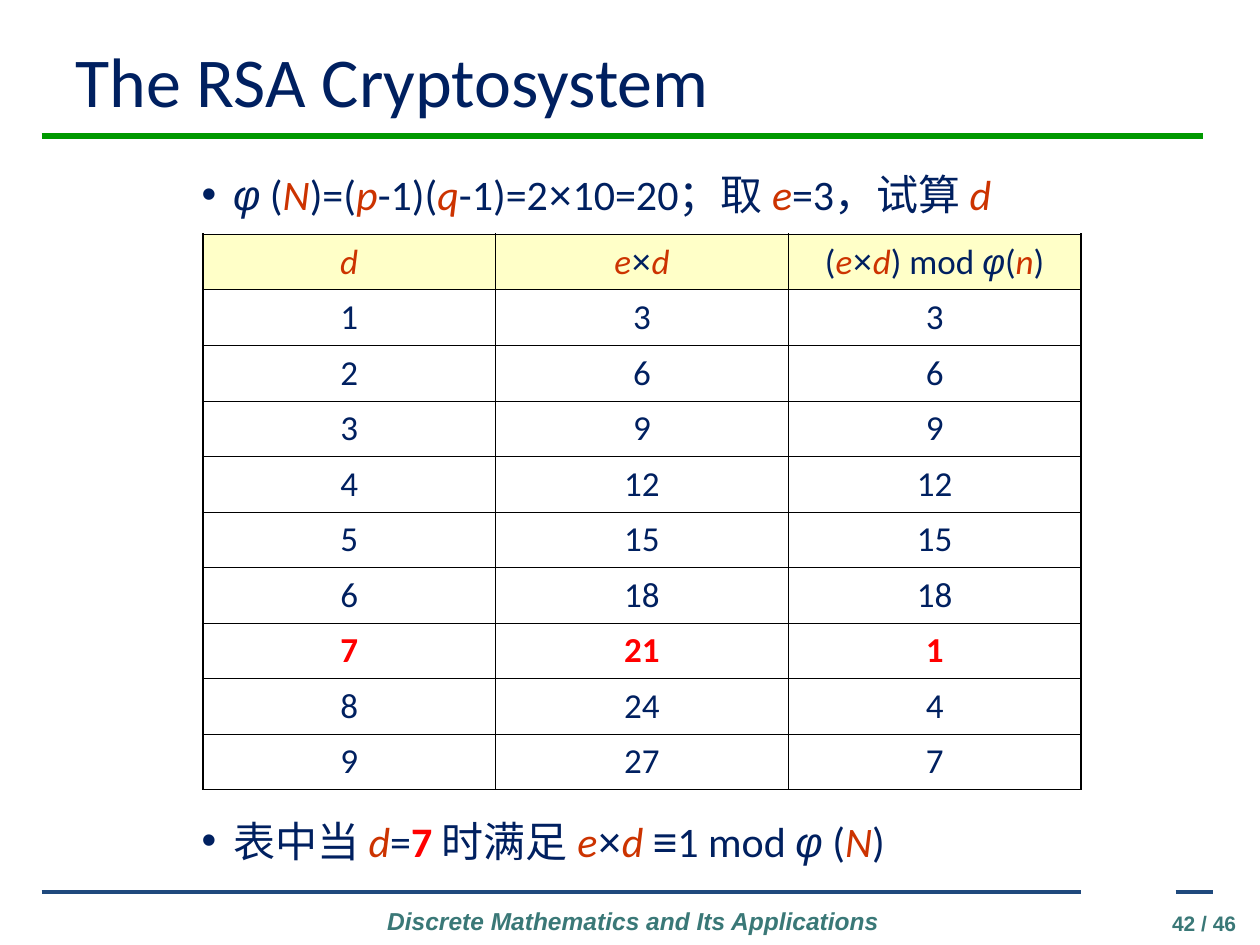
import pptx
import pptx.util
import pptx.oxml
import pptx.oxml.ns
import pptx.dml.color
import pptx.enum.shapes
import pptx.enum.text

COLS, ROWS = 100, 75
WIDTH, HEIGHT = pptx.util.Inches(10), pptx.util.Inches(7.5)
NAVY, RUST, RED, TEAL = "002060", "CC3300", "FF0000", "3A7877"
GREEN, BLUE, CREAM, BLACK = "009900", "1F497D", "FFFFC8", "000000"
ALIGN = pptx.enum.text.PP_ALIGN
VARIABLES = set("Npqedn")
SPECIAL = {
    "φ": dict(font="Arial", italic=True),
    "×": dict(font="Arial"),
    "≡": dict(font="Arial"),
    "7 ": dict(color=RED, bold=True),
}


def rgb(value):
    """Turn a hex string into a colour."""
    return pptx.dml.color.RGBColor.from_string(value)


def grid(*cells):
    """Convert alternating column and row counts to lengths."""
    units = (WIDTH / COLS, HEIGHT / ROWS)
    return [round(c * units[i % 2]) for i, c in enumerate(cells)]


def xml(text):
    """Parse a drawing element given without its namespace."""
    tag, rest = text.split(" ", 1)
    return pptx.oxml.parse_xml(f"{tag} {pptx.oxml.ns.nsdecls('a')} {rest}")


def add_run(p, text, size=24, color=NAVY, font="Calibri", bold=False, italic=False):
    """Append one formatted run to a paragraph."""
    r = p.add_run()
    r.text = text
    r.font.size = pptx.util.Pt(size)
    r.font.name = font
    r.font.bold, r.font.italic = bold, italic
    r.font.color.rgb = rgb(color)


def add_formula(p, text, size=24):
    """Write text split at bars, styling variables and symbols."""
    for part in text.split("|"):
        style = SPECIAL.get(part, {})
        if part.strip() in VARIABLES:
            style = dict(color=RUST, italic=True)
        add_run(p, part, size=size, **style)


def place(sp, *cells):
    """Move a shape to a grid position and keep its text size fixed."""
    sp.left, sp.top, sp.width, sp.height = grid(*cells)
    sp.text_frame.word_wrap = True
    sp.text_frame.auto_size = pptx.enum.text.MSO_AUTO_SIZE.NONE
    return sp.text_frame.paragraphs[0]


def fill_title(sp, text):
    """Write the slide title."""
    p = place(sp, 5, 2.5, 90, 7.7)
    sp.text_frame.vertical_anchor = pptx.enum.text.MSO_ANCHOR.MIDDLE
    p.alignment = ALIGN.LEFT
    add_run(p, text, size=40)


def fill_bullet(sp, row, text):
    """Write a second-level bullet into a body placeholder."""
    p = place(sp, 5, row, 93.3, 6.2)
    p.level = 1
    p.line_spacing = 1.3
    p.space_before = pptx.util.Pt(0)
    pPr = p._p.get_or_add_pPr()
    pPr.set("marL", str(pptx.util.Inches(1.25)))
    pPr.set("indent", str(pptx.util.Inches(-0.25)))
    pPr.append(xml(f'<a:buClr ><a:srgbClr val="{NAVY}"/></a:buClr>'))
    pPr.append(xml('<a:buFont typeface="Arial"/>'))
    pPr.append(xml('<a:buChar char="•"/>'))
    add_formula(p, text)


def add_rule(s, start, end, row, color, weight):
    """Draw a horizontal rule between two columns."""
    line = s.shapes.add_connector(
        pptx.enum.shapes.MSO_CONNECTOR.STRAIGHT, *grid(start, row, end, row))
    line.line.color.rgb = rgb(color)
    line.line.width = pptx.util.Pt(weight)
    line._element.spPr.append(xml("<a:effectLst />"))


def add_footer(s, cells, text, align, **style):
    """Add a line of footer text."""
    p = place(s.shapes.add_textbox(*grid(*cells)), *cells)
    p.alignment = align
    add_run(p, text, color=TEAL, font="Arial", bold=True, **style)


def set_borders(cell, outer):
    """Draw the cell borders, heavier on the outer sides."""
    tcPr = cell._tc.get_or_add_tcPr()
    for side in "LRTB":
        width = pptx.util.Pt(1.08 if side in outer else 0.45)
        tcPr.append(xml(f'<a:ln{side} w="{width}"><a:solidFill>'
                        f'<a:srgbClr val="{BLACK}"/></a:solidFill></a:ln{side}>'))


def add_trial_table(s, header, rows, answer):
    """Add the table of trial values, marking the answer row."""
    data = [header] + rows
    table = s.shapes.add_table(
        len(data), len(header), *grid(16.1, 18.6, 69.7, 43.65)).table
    last_row, last_col = len(data) - 1, len(header) - 1
    for i, values in enumerate(data):
        for j, value in enumerate(values):
            cell = table.cell(i, j)
            sides = (("L", j == 0), ("R", j == last_col),
                     ("T", i == 0), ("B", i == last_row))
            set_borders(cell, [side for side, edge in sides if edge])
            p = cell.text_frame.paragraphs[0]
            p.alignment = ALIGN.CENTER
            if i == 0:
                cell.fill.solid()
                cell.fill.fore_color.rgb = rgb(CREAM)
                add_formula(p, value, size=20)
            else:
                cell.fill.background()
                found = values[0] == answer
                add_run(p, str(value), size=20, bold=found,
                        color=RED if found else NAVY)


def main():
    """Build and save the slide."""
    prs = pptx.Presentation()
    prs.slide_width, prs.slide_height = WIDTH, HEIGHT
    s = prs.slides.add_slide(prs.slide_layouts[3])
    title, top, bottom = s.placeholders

    add_rule(s, 3.3, 95.5, 10.8, GREEN, 3)
    add_rule(s, 3.3, 85.8, 70.8, BLUE, 2.25)
    add_rule(s, 93.3, 96.3, 70.8, BLUE, 2.25)
    add_footer(s, (28.3, 71.4, 43.9, 3.4), "Discrete Mathematics and Its Applications",
               ALIGN.CENTER, size=14, italic=True)
    add_footer(s, (88.9, 71.8, 10.2, 2.4), "42 / 46", ALIGN.RIGHT, size=12)

    fill_title(title, "The RSA Cryptosystem")
    fill_bullet(top, 11.7, "φ| (|N|)=(|p|-1)(|q|-1)=2|×|10=20；取 |e|=3，试算 |d")
    e, modulus = 3, 20
    add_trial_table(s, ["d", "e|×|d", "(|e|×|d|) mod |φ|(|n|)"],
                    [(d, e * d, e * d % modulus) for d in range(1, 10)], answer=7)
    fill_bullet(bottom, 63, "表中当 |d|=|7 |时满足 |e|×|d |≡|1 mod |φ| (|N|)")
    prs.save("out.pptx")


if __name__ == "__main__":
    main()
